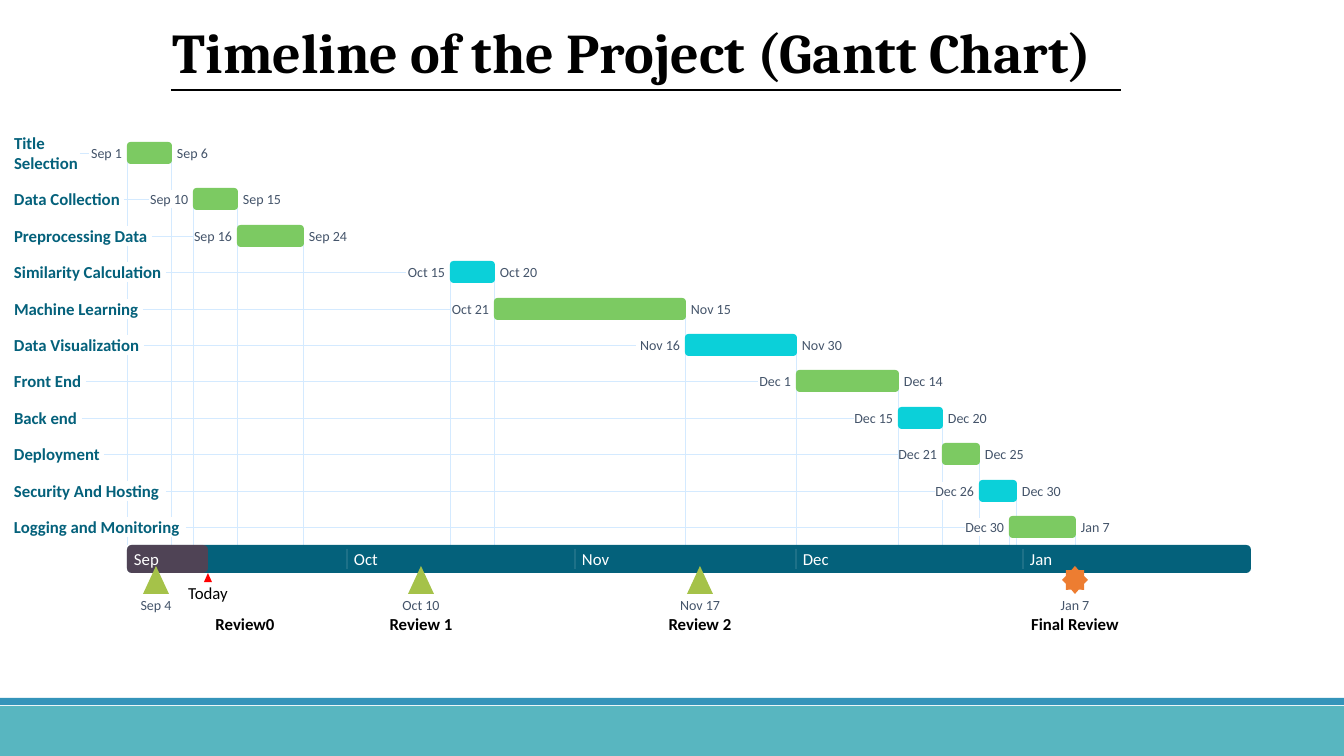
import lxml.etree
import pptx
import pptx.util
from pptx.dml.color import RGBColor
from pptx.enum.shapes import MSO_CONNECTOR, MSO_SHAPE
from pptx.enum.text import MSO_ANCHOR, PP_ALIGN
from pptx.oxml.ns import qn

WHITE = RGBColor(0xFF, 0xFF, 0xFF)
BLACK = RGBColor(0, 0, 0)
RED = RGBColor(0xFF, 0, 0)
TEAL = RGBColor(0x58, 0xB6, 0xC0)
BLUE = RGBColor(0x34, 0x94, 0xBA)
GRID = RGBColor(0xD4, 0xEA, 0xFF)
NAVY = RGBColor(0x04, 0x61, 0x7B)
SLATE = RGBColor(0x44, 0x54, 0x6A)
GREEN = RGBColor(0x7C, 0xCA, 0x62)
CYAN = RGBColor(0x0B, 0xD0, 0xD9)
OLIVE = RGBColor(0xA5, 0xC2, 0x49)
ORANGE = RGBColor(0xED, 0x7D, 0x31)

EMU_PER_PX = 914400 / 100.8
CHART_LEFT, CHART_WIDTH, CHART_DAYS = 127, 1124, 153
AXIS_TOP, AXIS_HEIGHT = 545, 28
LABEL_LEFT = 14
DATE_GAP = 5
MONTH_STARTS = {"Sep": 0, "Oct": 30, "Nov": 61, "Dec": 91, "Jan": 122}

# task, label width, first day, last day, colour
TASKS = [
    ("Title Selection", 66, "Sep 1", "Sep 6", GREEN),
    ("Data Collection", 110, "Sep 10", "Sep 15", GREEN),
    ("Preprocessing Data", 138, "Sep 16", "Sep 24", GREEN),
    ("Similarity Calculation", 152, "Oct 15", "Oct 20", CYAN),
    ("Machine Learning", 129, "Oct 21", "Nov 15", GREEN),
    ("Data Visualization", 130, "Nov 16", "Nov 30", CYAN),
    ("Front End", 72, "Dec 1", "Dec 14", GREEN),
    ("Back end", 68, "Dec 15", "Dec 20", CYAN),
    ("Deployment", 90, "Dec 21", "Dec 25", GREEN),
    ("Security And Hosting", 152, "Dec 26", "Dec 30", CYAN),
    ("Logging and Monitoring", 172, "Dec 30", "Jan 7", GREEN),
]
# name, date, offset of the name from its marker, marker shape, colour
MILESTONES = [
    ("Review0", "Sep 4", 89, MSO_SHAPE.ISOSCELES_TRIANGLE, OLIVE),
    ("Review 1", "Oct 10", 0, MSO_SHAPE.ISOSCELES_TRIANGLE, OLIVE),
    ("Review 2", "Nov 17", 0, MSO_SHAPE.ISOSCELES_TRIANGLE, OLIVE),
    ("Final Review", "Jan 7", 0, MSO_SHAPE.STAR_8_POINT, ORANGE),
]


def emu(px):
    return round(px * EMU_PER_PX)


def day_end(date):
    month, day = date.split()
    days = MONTH_STARTS[month] + int(day)
    return round(CHART_LEFT + CHART_WIDTH * days / CHART_DAYS)


def day_start(date):
    month, day = date.split()
    return day_end(f"{month} {int(day) - 1}")


def date_width(date):
    if date.startswith("Nov"):
        return 44
    return 39 if len(date) > 5 else 33


def row_middle(row):
    return 153 if row == 0 else round(199.4 + 36.4 * (row - 1))


class SlideBuilder:
    def __init__(self, slide, font="Calibri"):
        self.shapes = slide.shapes
        self.font = font

    def set_alpha(self, sp, percent):
        """Make the first solid colour of a shape or line see-through."""
        color = next(sp.element.spPr.iter(qn("a:srgbClr")))
        lxml.etree.SubElement(color, qn("a:alpha")).set("val", str(percent * 1000))

    def shape(self, kind, x, y, w, h, color, alpha=None):
        sp = self.shapes.add_shape(kind, emu(x), emu(y), emu(w), emu(h))
        sp.shadow.inherit = False
        sp.fill.solid()
        sp.fill.fore_color.rgb = color
        sp.line.fill.background()
        if alpha:
            self.set_alpha(sp, alpha)

    def line(self, x1, y1, x2, y2, color=GRID, width=0.6, alpha=None):
        cxn = self.shapes.add_connector(
            MSO_CONNECTOR.STRAIGHT, emu(x1), emu(y1), emu(x2), emu(y2))
        cxn.line.color.rgb = color
        cxn.line.width = pptx.util.Pt(width)
        if alpha:
            self.set_alpha(cxn, alpha)
        lxml.etree.SubElement(cxn.element.spPr, qn("a:effectLst"))
        return cxn

    def text(self, text, x, y, w, h, color, size=12, bold=False,
             align=PP_ALIGN.CENTER, font=None):
        sp = self.shapes.add_textbox(emu(x), emu(y), emu(w), emu(h))
        tf = sp.text_frame
        tf.word_wrap = True
        tf.vertical_anchor = MSO_ANCHOR.MIDDLE
        tf.margin_left = tf.margin_right = tf.margin_top = tf.margin_bottom = 0
        p = tf.paragraphs[0]
        p.text = text
        p.alignment = align
        p.font.name = font or self.font
        p.font.size = pptx.util.Pt(size)
        p.font.bold = bold
        p.font.color.rgb = color
        return sp

    def date(self, date, x, middle, align=PP_ALIGN.CENTER):
        return self.text(date, x, middle - 9, date_width(date), 18, SLATE, 10, align=align)

    def title(self, text):
        self.text(text, 173, 17, 1088, 68, BLACK, 40, True, PP_ALIGN.LEFT, "Cambria")
        self.line(171, 90, 1121, 90, BLACK, 1)


def draw_task_rows(b):
    """Draw names, dates and the row lines that join them."""
    for row, (name, width, first, last, _) in enumerate(TASKS):
        y = row_middle(row)
        half = 21 if row == 0 else 10
        label = b.text(name, LABEL_LEFT, y - half, width, 2 * half, NAVY, bold=True,
                       align=PP_ALIGN.LEFT)
        date_left = day_start(first) - DATE_GAP - date_width(first)
        start = b.date(first, date_left, y, PP_ALIGN.RIGHT)
        b.date(last, day_end(last) + DATE_GAP + 1, y, PP_ALIGN.LEFT)
        row_line = b.line(LABEL_LEFT + width, y, date_left, y)
        row_line.begin_connect(label, 3)
        row_line.end_connect(start, 1)


def draw_day_lines(b):
    """Drop a line from each bar end to the axis, broken where it meets a row's items."""
    first_rows = {}
    for row, (_, _, first, last, _) in enumerate(TASKS):
        for x in (day_start(first), day_end(last)):
            first_rows.setdefault(x, row)
    for x, first_row in first_rows.items():
        top = row_middle(first_row)
        for row in range(first_row + 1, len(TASKS)):
            _, width, first, last, _ = TASKS[row]
            left = day_start(first)
            items = [(LABEL_LEFT, LABEL_LEFT + width, 10),
                     (left - DATE_GAP - date_width(first), left - DATE_GAP, 9),
                     (left, day_end(last), 11)]
            for item_left, item_right, half in items:
                if item_left < x < item_right:
                    b.line(x, top, x, row_middle(row) - half)
                    top = row_middle(row) + half
        b.line(x, top, x, AXIS_TOP)


def draw_axis(b):
    today = day_end("Sep 11")
    for date, color, alpha in (("Jan 31", NAVY, None), ("Sep 11", RED, 30)):
        b.shape(MSO_SHAPE.ROUNDED_RECTANGLE, CHART_LEFT, AXIS_TOP,
                day_end(date) - CHART_LEFT, AXIS_HEIGHT, color, alpha)
    b.shape(MSO_SHAPE.ISOSCELES_TRIANGLE, today - 4, 573, 8, 9, RED)
    b.text("Today", today - 25, 583, 50, 20, BLACK)
    for month, offset in MONTH_STARTS.items():
        x = day_start(f"{month} 1")
        b.text(month, x + 7, 549, 40, 20, WHITE, align=PP_ALIGN.LEFT)
        if offset:
            b.line(x, 549, x, 569, WHITE, alpha=30)


def draw_bars(b):
    for row, (_, _, first, last, color) in enumerate(TASKS):
        x = day_start(first)
        b.shape(MSO_SHAPE.ROUNDED_RECTANGLE, x, row_middle(row) - 11,
                day_end(last) - x + 1, 22, color)


def draw_milestones(b):
    for name, date, offset, kind, color in MILESTONES:
        x = day_end(date)
        b.shape(kind, x - 13, 566, 26, 28, color)
        b.date(date, x - date_width(date) / 2, 605)
        b.text(name, x + offset - 50, 614, 100, 20, BLACK, bold=True)


def main():
    prs = pptx.Presentation()
    prs.slide_width, prs.slide_height = emu(1344), emu(756)
    b = SlideBuilder(prs.slides.add_slide(prs.slide_layouts[6]))
    b.shape(MSO_SHAPE.RECTANGLE, 0, 706, 1344, 50, TEAL)
    b.shape(MSO_SHAPE.RECTANGLE, 0, 698, 1344, 7, BLUE)
    draw_task_rows(b)
    draw_day_lines(b)
    draw_axis(b)
    draw_bars(b)
    draw_milestones(b)
    b.title("Timeline of the Project (Gantt Chart)")
    prs.save("out.pptx")


if __name__ == "__main__":
    main()
